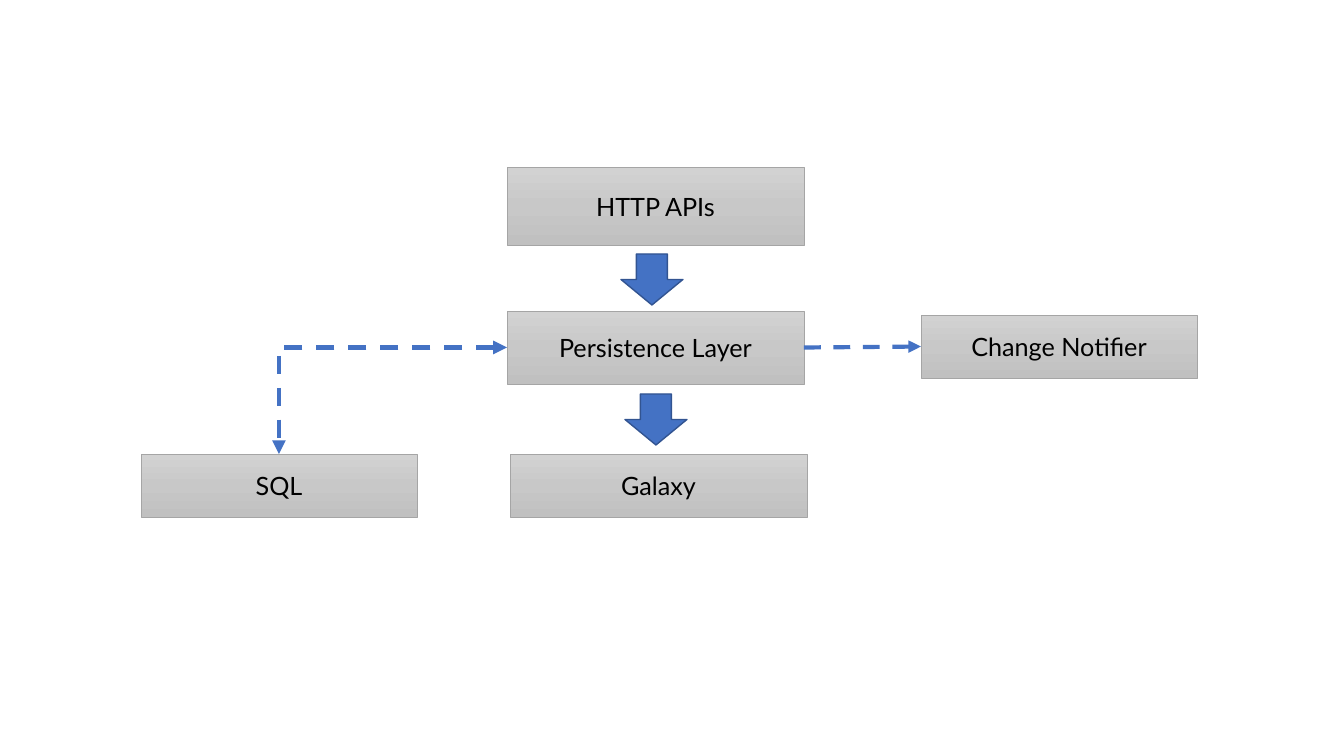
from copy import deepcopy
from dataclasses import dataclass

from lxml import etree
from pptx import Presentation
from pptx.dml.color import RGBColor
from pptx.enum.dml import MSO_LINE
from pptx.enum.shapes import MSO_CONNECTOR, MSO_SHAPE
from pptx.enum.text import MSO_ANCHOR, PP_ALIGN
from pptx.oxml.ns import qn
from pptx.util import Pt

RECTANGLE = MSO_SHAPE.RECTANGLE
DOWN_ARROW = MSO_SHAPE.DOWN_ARROW
STRAIGHT = MSO_CONNECTOR.STRAIGHT
ELBOW = MSO_CONNECTOR.ELBOW
DASH = MSO_LINE.DASH
MIDDLE = MSO_ANCHOR.MIDDLE
CENTER = PP_ALIGN.CENTER

EMU_PER_PX = 914400 / 100.8
PAGE_WIDTH, PAGE_HEIGHT = 1344, 756
TOP_SITE, LEFT_SITE, RIGHT_SITE = 0, 1, 3


def px(length):
    return round(length * EMU_PER_PX)


@dataclass(frozen=True)
class Theme:
    font: str = "Lato"
    label_size: int = 18
    text: str = "000000"
    box_stops: tuple = ((0, "D2D2D2"), (0.5, "C8C8C8"), (1, "C0C0C0"))
    box_line: str = "A5A5A5"
    accent: str = "4472C4"
    accent_line: str = "325491"


class Diagram:
    def __init__(self, page, theme):
        self.shapes = page.shapes
        self.theme = theme

    def shape(self, kind, left, top, width, height, line_color, line_width):
        shape = self.shapes.add_shape(kind, px(left), px(top), px(width), px(height))
        shape.shadow.inherit = False
        shape.line.color.rgb = RGBColor.from_string(line_color)
        shape.line.width = Pt(line_width)
        return shape

    def box(self, label, left, top, width, height):
        theme = self.theme
        box = self.shape(RECTANGLE, left, top, width, height, theme.box_line, 0.5)
        self.shade(box)
        box.text_frame.word_wrap = True
        box.text_frame.vertical_anchor = MIDDLE
        para = box.text_frame.paragraphs[0]
        para.alignment = CENTER
        span = para.add_run()
        span.text = label
        span.font.name = theme.font
        span.font.size = Pt(theme.label_size)
        span.font.color.rgb = RGBColor.from_string(theme.text)
        return box

    def shade(self, box):
        box.fill.gradient()
        box.fill.gradient_angle = 270
        stop_list = next(box._element.spPr.iter(qn("a:gsLst")))
        stop_list.insert(1, deepcopy(stop_list[0]))
        for stop, (position, color) in zip(box.fill.gradient_stops, self.theme.box_stops):
            stop.position = position
            stop.color.rgb = RGBColor.from_string(color)

    def down_arrow(self, left, top):
        arrow = self.shape(DOWN_ARROW, left, top, 62, 51, self.theme.accent_line, 1)
        arrow.fill.solid()
        arrow.fill.fore_color.rgb = RGBColor.from_string(self.theme.accent)

    def link(self, kind, source, source_site, target, target_site, width, ends):
        link = self.shapes.add_connector(kind, 0, 0, 0, 0)
        link.begin_connect(source, source_site)
        link.end_connect(target, target_site)
        link.line.color.rgb = RGBColor.from_string(self.theme.accent)
        link.line.width = Pt(width)
        link.line.dash_style = DASH
        properties = link._element.spPr
        if kind == ELBOW:
            properties.find(qn("a:prstGeom")).set("prst", "bentConnector2")
        outline = properties.find(qn("a:ln"))
        for end in ends:
            etree.SubElement(outline, qn(f"a:{end}"), type="triangle")
        etree.SubElement(properties, qn("a:effectLst"))


def main():
    deck = Presentation()
    deck.slide_width = px(PAGE_WIDTH)
    deck.slide_height = px(PAGE_HEIGHT)
    page = deck.slides.add_slide(deck.slide_layouts.get_by_name("Blank"))
    diagram = Diagram(page, Theme())

    diagram.box("HTTP APIs", 507, 167, 297, 78)
    persistence = diagram.box("Persistence Layer", 507, 311, 297, 73)
    diagram.box("Galaxy", 510, 454, 297, 63)
    diagram.down_arrow(621, 254)
    diagram.down_arrow(625, 394)
    sql = diagram.box("SQL", 141, 454, 276, 63)
    diagram.link(ELBOW, persistence, LEFT_SITE, sql, TOP_SITE, 3.25, ("headEnd", "tailEnd"))
    notifier = diagram.box("Change Notifier", 921, 315, 276, 63)
    diagram.link(STRAIGHT, persistence, RIGHT_SITE, notifier, LEFT_SITE, 3, ("tailEnd",))

    deck.save("out.pptx")


if __name__ == "__main__":
    main()
